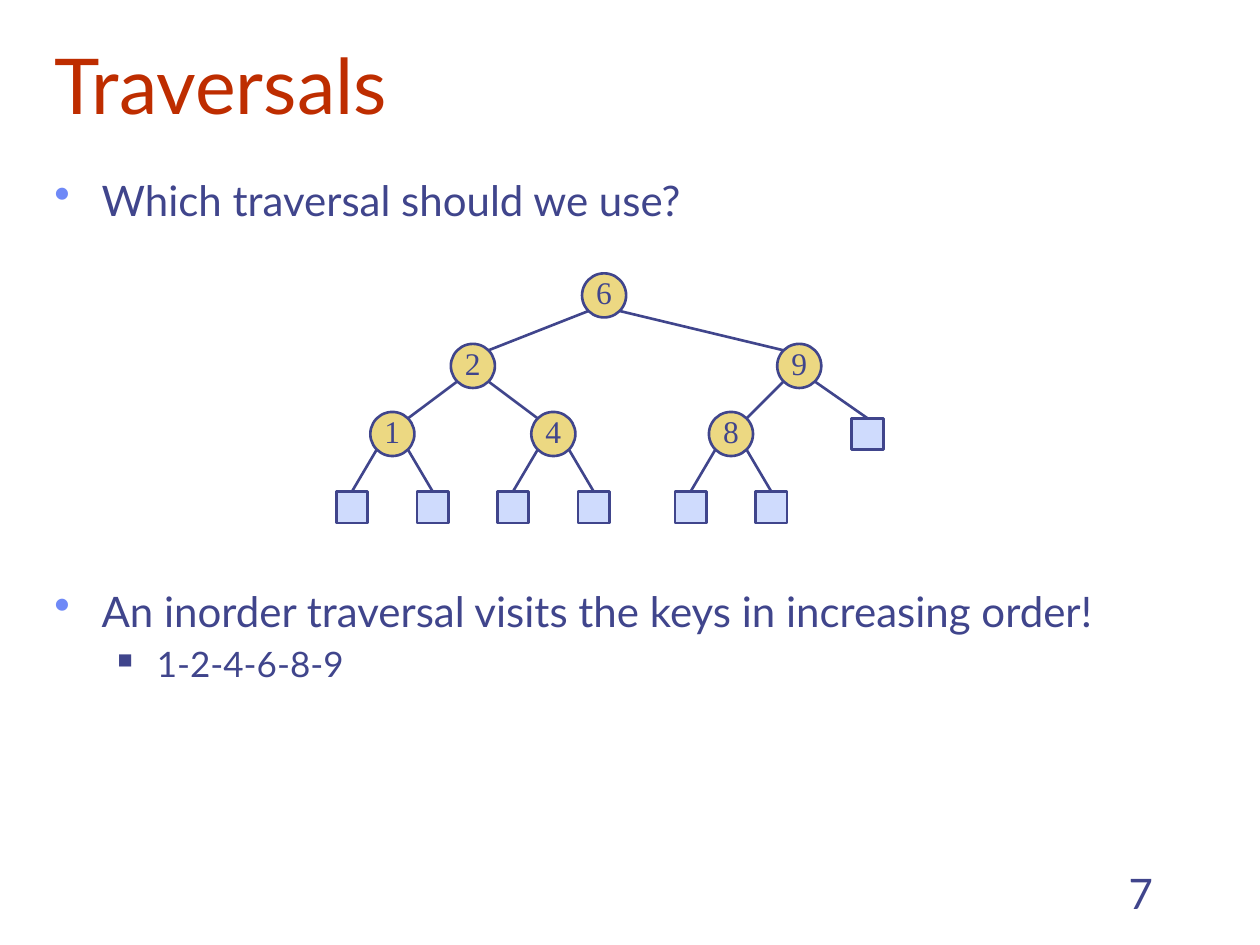
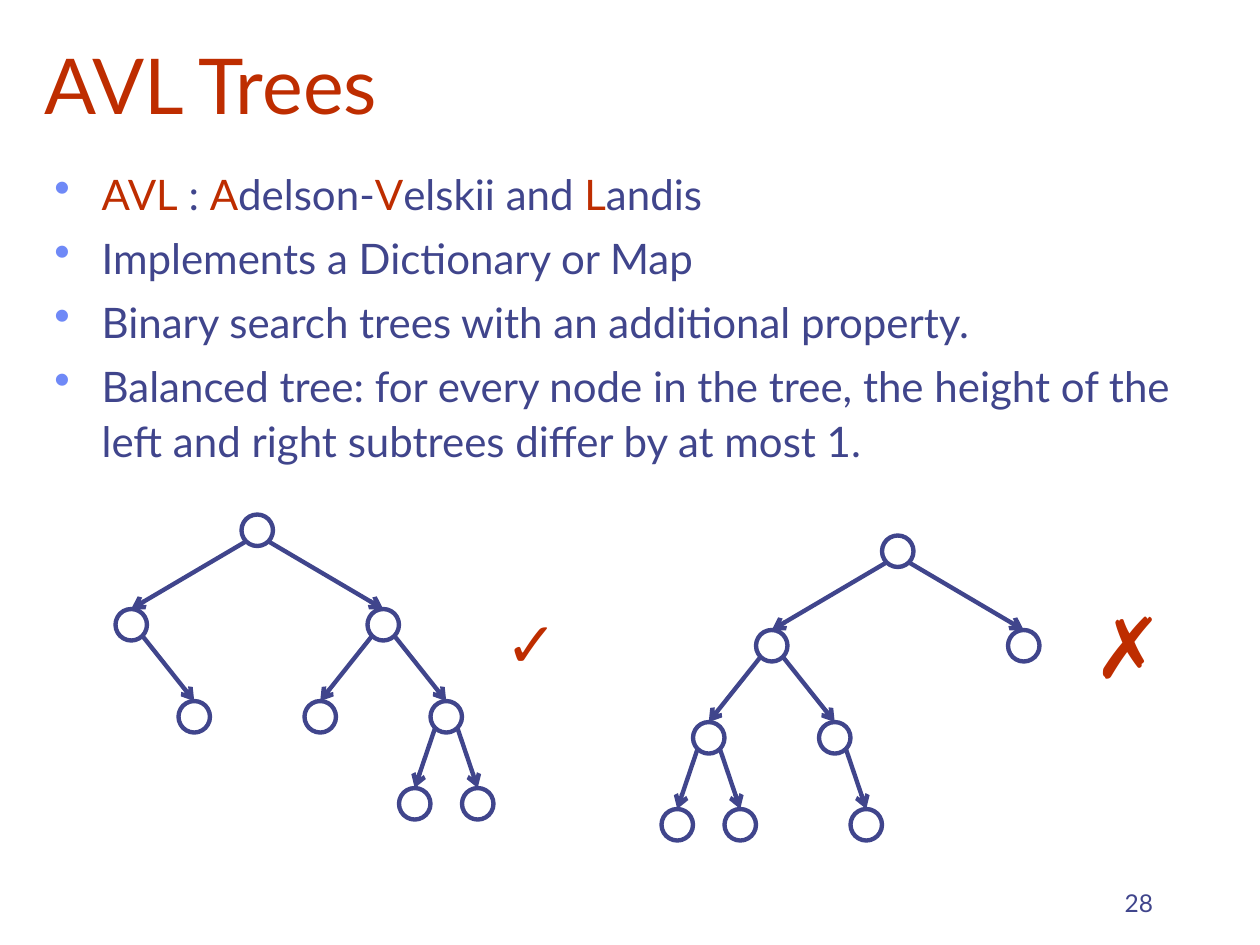
from dataclasses import dataclass
from math import sqrt
from typing import Optional

from lxml import etree
from pptx import Presentation
from pptx.dml import color
from pptx.enum import shapes, text
from pptx.oxml import ns
from pptx.util import Pt

NAVY = "40458C"
RUST = "BE2D00"
BULLET_BLUE = "6F89F7"
GOLD = "ECD882"
PALE_BLUE = "CFDBFD"
BODY_FONT = "Lato"
KEY_FONT = "Times New Roman"
NUMBER_BOX = (516, 492, 150, 36)


@dataclass
class Node:
    key: str = ""
    left: Optional["Node"] = None
    right: Optional["Node"] = None
    reach: tuple = (0, 0)
    external: bool = False


@dataclass
class TreeStyle:
    diameter: float
    line_width: float
    steps: tuple
    fill: str = ""
    arrows: bool = False


KEYED = TreeStyle(25.2, 1.5, (40.3, 38.9, 41.8), fill=GOLD)
PLAIN = TreeStyle(18, 2.5, (54, 52.6, 49.7), arrows=True)
SQUARE_SIDE = 18


def rgb(value):
    return color.RGBColor.from_string(value)


def add_span(para, words, size, shade=NAVY, face=BODY_FONT):
    span = para.add_run()
    span.text = words
    span.font.size = Pt(size)
    span.font.name = face
    span.font.color.rgb = rgb(shade)


def add_text_box(page, box, anchor=text.MSO_ANCHOR.TOP):
    frame = page.shapes.add_textbox(*map(Pt, box)).text_frame
    frame.word_wrap = True
    frame.vertical_anchor = anchor
    return frame


def add_title(page, box, words):
    title = page.shapes.title
    title.left, title.top, title.width, title.height = map(Pt, box)
    frame = title.text_frame
    frame.auto_size = text.MSO_AUTO_SIZE.NONE
    frame.vertical_anchor = text.MSO_ANCHOR.BOTTOM
    para = frame.paragraphs[0]
    para.alignment = text.PP_ALIGN.LEFT
    add_span(para, words, 44, RUST)


def add_page_number(page, number, size):
    para = add_text_box(page, NUMBER_BOX, text.MSO_ANCHOR.BOTTOM).paragraphs[0]
    para.alignment = text.PP_ALIGN.RIGHT
    add_span(para, number, size)


def set_bullet(para, level):
    margin, hang, shade, percent, mark = (
        (27, 27, BULLET_BLUE, 110, "•"),
        (58.5, 22.5, NAVY, 60, "■"),
    )[level]
    props = para._p.get_or_add_pPr()
    props.set("marL", str(Pt(margin)))
    props.set("indent", str(-Pt(hang)))
    tint = etree.SubElement(props, ns.qn("a:buClr"))
    etree.SubElement(tint, ns.qn("a:srgbClr"), val=shade)
    etree.SubElement(props, ns.qn("a:buSzPct"), val=str(percent * 1000))
    etree.SubElement(props, ns.qn("a:buChar"), char=mark)


def add_bullets(page, box, items, line_spacing=1.0):
    frame = add_text_box(page, box)
    for index, (level, spans) in enumerate(items):
        para = frame.add_paragraph() if index else frame.paragraphs[0]
        size = (24, 20)[level]
        set_bullet(para, level)
        para.level = level
        para.line_spacing = line_spacing
        if index:
            para.space_before = Pt(size * 0.2)
        for words, shade in spans:
            add_span(para, words, size, shade)


def add_mark(page, box, symbol, size):
    add_span(add_text_box(page, box).paragraphs[0], symbol, size, RUST)


def add_node(page, node, x, y, style):
    side = SQUARE_SIDE if node.external else style.diameter
    kind = shapes.MSO_SHAPE.RECTANGLE if node.external else shapes.MSO_SHAPE.OVAL
    fill = PALE_BLUE if node.external else style.fill
    shape = page.shapes.add_shape(
        kind, Pt(x - side / 2), Pt(y - side / 2), Pt(side), Pt(side))
    shape.shadow.inherit = False
    shape.line.color.rgb = rgb(NAVY)
    shape.line.width = Pt(style.line_width)
    if fill:
        shape.fill.solid()
        shape.fill.fore_color.rgb = rgb(fill)
    else:
        shape.fill.background()
    if node.key:
        frame = shape.text_frame
        frame.margin_left = frame.margin_right = frame.margin_top = 0
        frame.margin_bottom = Pt(3.6)
        frame.word_wrap = False
        frame.vertical_anchor = text.MSO_ANCHOR.MIDDLE
        para = frame.paragraphs[0]
        para.alignment = text.PP_ALIGN.CENTER
        add_span(para, node.key, 18, NAVY, KEY_FONT)
    return shape


def add_edge(page, start, end, side, child, child_shape, style):
    diagonal = style.diameter / 2 / sqrt(2)
    (x1, y1), (x2, y2) = start, end
    meets_top = child.external or style.arrows
    edge = page.shapes.add_connector(
        shapes.MSO_CONNECTOR.STRAIGHT,
        Pt(x1 + side * diagonal), Pt(y1 + diagonal),
        Pt(x2 - side * diagonal), Pt(y2 - diagonal))
    if meets_top:
        edge.end_connect(child_shape, 0)
    edge.line.color.rgb = rgb(NAVY)
    edge.line.width = Pt(style.line_width)
    if style.arrows:
        etree.SubElement(edge.line._get_or_add_ln(), ns.qn("a:tailEnd"), type="arrow")
    etree.SubElement(edge._element.spPr, ns.qn("a:effectLst"))


def add_subtree(page, node, x, y, style, depth=0):
    shape = add_node(page, node, x, y, style)
    for side, child, reach in zip((-1, 1), (node.left, node.right), node.reach):
        if child:
            end = (x + side * reach, y + style.steps[depth])
            child_shape = add_subtree(page, child, *end, style, depth + 1)
            add_edge(page, (x, y), end, side, child, child_shape, style)
    return shape


def add_tree(page, box, root, root_offset, style):
    left, top = box
    add_subtree(page, root, left + root_offset, top + style.diameter / 2, style)


def keyed(key, left=None, right=None, reach=(23, 23)):
    square = Node(external=True)
    return Node(key, left or square, right or square, reach)


def plain(reach=0, left=None, right=None):
    return Node("", left, right, (reach, reach))


def build_traversals(page):
    add_title(page, (24, 12, 684, 66), "Traversals")
    add_bullets(page, (24, 96, 684, 40), [
        (0, [("Which traversal should we use?", NAVY)])])
    add_bullets(page, (24, 331, 684, 80), [
        (0, [("An inorder traversal visits the keys in increasing order!", NAVY)]),
        (1, [("1-2-4-6-8-9", NAVY)])])
    root = keyed(
        "6",
        keyed("2", keyed("1"), keyed("4"), (46, 46)),
        keyed("9", keyed("8"), None, (39, 39)),
        (75, 111.5))
    add_tree(page, (192.2, 156.2), root, 153, KEYED)
    add_page_number(page, "7", 24)


def build_avl_trees(page):
    add_title(page, (18, -12, 612, 90), "AVL Trees")
    add_bullets(page, (24, 90, 678, 369), [
        (0, [("AVL", RUST), (" : ", NAVY), ("A", RUST), ("delson-", NAVY),
             ("V", RUST), ("elskii and ", NAVY), ("L", RUST), ("andis", NAVY)]),
        (0, [("Implements a Dictionary or Map", NAVY)]),
        (0, [("Binary search trees with an additional property.", NAVY)]),
        (0, [("Balanced tree: for every node in the tree, the height of the "
              "left and right subtrees differ by at most 1.", NAVY)]),
    ], 1.1)
    balanced = plain(
        72,
        plain(36, None, plain()),
        plain(36, plain(), plain(18, plain(), plain())))
    unbalanced = plain(
        72,
        plain(36, plain(18, plain(), plain()), plain(18, None, plain())),
        plain())
    add_tree(page, (66, 294), balanced, 81, PLAIN)
    add_tree(page, (378, 306), unbalanced, 135, PLAIN)
    add_mark(page, (282, 342, 66, 50), "✓", 36)
    add_mark(page, (618, 336, 66, 65), "✗", 48)
    add_page_number(page, "28", 14)


def main():
    deck = Presentation()
    deck.slide_width, deck.slide_height = Pt(720), Pt(540)
    title_only = deck.slide_layouts[5]
    for build in (build_traversals, build_avl_trees):
        build(deck.slides.add_slide(title_only))
    deck.save("out.pptx")


if __name__ == "__main__":
    main()
